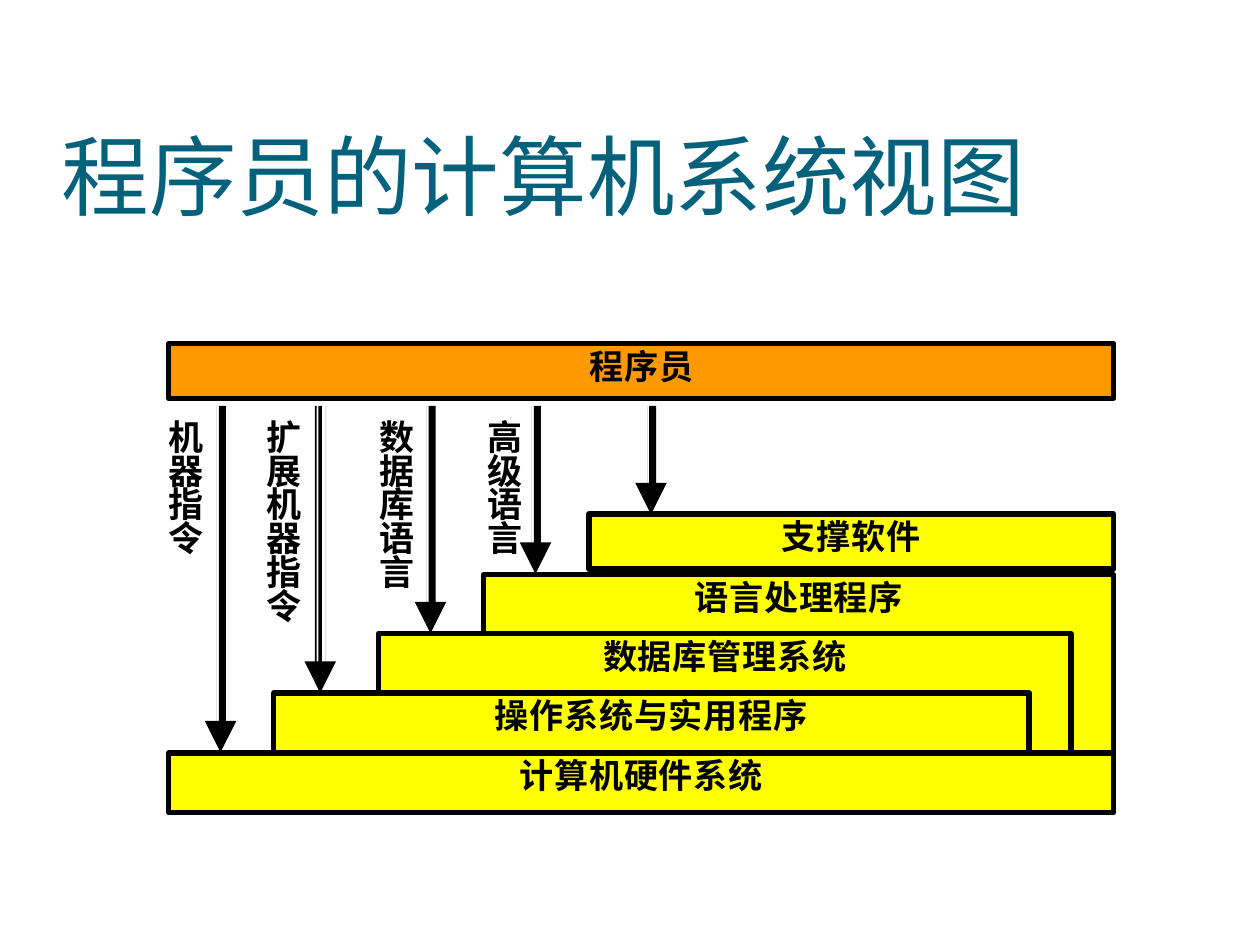
from dataclasses import dataclass

from lxml.etree import SubElement
from pptx import Presentation
from pptx.dml.color import RGBColor as Color
from pptx.enum.shapes import MSO_SHAPE as Shape
from pptx.enum.text import MSO_ANCHOR as Anchor, PP_ALIGN as Align
from pptx.oxml.ns import qn
from pptx.util import Pt


@dataclass(frozen=True)
class Theme:
    title: Color = Color(0x04, 0x61, 0x7B)
    ink: Color = Color(0, 0, 0)
    programmer: Color = Color(0xFF, 0x99, 0x00)
    layer: Color = Color(0xFF, 0xFF, 0x00)
    title_size: float = 50
    layer_size: float = 19.5
    label_size: float = 20
    label_pitch: float = 19.3
    outline: float = 3
    font: str = "Noto Sans CJK SC"
    title_font: str = "Noto Sans CJK JP"


THEME = Theme()

# Stack geometry: each layer starts one step further right
LEFT, RIGHT, STEP = 96.5, 636.5, 60
BASE = 430.3
ARROW_TOP = 232.5
LABEL_TOP = 242

# Level, text, top, right, bottom, from back to front
LAYERS = [
    (3, "语言处理程序", 328.3, RIGHT, BASE),
    (4, "支撑软件", 293.8, RIGHT, 325.2),
    (0, "计算机硬件系统", BASE, RIGHT, 464.5),
    (2, "数据库管理系统", 362.2, 612, BASE),
    (1, "操作系统与实用程序", 396, 588, BASE),
]

# Arrow centre, tip, label left, label
INTERFACES = [
    (126.4, BASE, 96.5, "机器指令"),
    (183.4, 396, 152.6, "扩展机器指令"),
    (246.4, 362.2, 216.7, "数据库语言"),
    (306.4, 328.3, 278.6, "高级语言"),
    (372.4, 293.8, None, None),
]

TITLE_RUNS = [
    ("程序", THEME.title_font), ("员", THEME.font),
    ("的", THEME.title_font), ("计", THEME.font),
    ("算机系", THEME.title_font), ("统视图", THEME.font),
]


def set_values(target, values):
    for name, value in values.items():
        setattr(target, name, value)


def add_run(paragraph, text, size, color, font=THEME.font, bold=False, spacing=0):
    run = paragraph.add_run()
    run.text = text
    set_values(run.font, {"size": Pt(size), "name": font, "bold": bold})
    run.font.color.rgb = color
    properties = run.font._element
    SubElement(properties, qn("a:ea")).set("typeface", font)
    if spacing:
        properties.set("spc", str(round(spacing * 100)))


def prepare_frame(shape, inset_top=0, wrap=True):
    frame = shape.text_frame
    set_values(frame, {
        "margin_left": 0, "margin_right": 0, "margin_bottom": 0,
        "margin_top": Pt(inset_top), "word_wrap": wrap,
        "vertical_anchor": Anchor.TOP,
    })
    return frame.paragraphs[0]


def add_title(slide):
    shape = slide.shapes.add_textbox(Pt(35.3), Pt(69.5), Pt(560), Pt(72))
    paragraph = prepare_frame(shape, wrap=False)
    for text, font in TITLE_RUNS:
        add_run(paragraph, text, THEME.title_size, THEME.title, font)


def add_layer(slide, text, left, top, right, bottom, color):
    shape = slide.shapes.add_shape(
        Shape.RECTANGLE, Pt(left), Pt(top), Pt(right - left), Pt(bottom - top))
    shape.shadow.inherit = False
    shape.fill.solid()
    shape.fill.fore_color.rgb = color
    shape.line.color.rgb = THEME.ink
    shape.line.width = Pt(THEME.outline)
    paragraph = prepare_frame(shape, inset_top=1)
    paragraph.alignment = Align.CENTER
    add_run(paragraph, text, THEME.layer_size, THEME.ink, bold=True, spacing=0.4)


def add_triple_arrow(slide, center, top, tip):
    """Draw a solid head below a shaft of three stripes."""
    neck = tip - 18
    contours = [[(center + 9, neck), (center - 9, neck), (center, tip)]]
    for start, end in [(-2.9, -2.1), (-1.1, 1.1), (2.1, 2.9)]:
        contours.append([(center + start, top), (center + end, top),
                         (center + end, neck), (center + start, neck)])
    first = contours[0][0]
    builder = slide.shapes.build_freeform(*first, scale=Pt(1))
    for contour in contours:
        if contour[0] != first:
            builder.move_to(*contour[0])
        builder.add_line_segments(contour[1:], close=True)
    shape = builder.convert_to_shape()
    shape.shadow.inherit = False
    shape.fill.solid()
    shape.fill.fore_color.rgb = THEME.ink
    shape.line.fill.background()


def add_stacked_label(slide, text, left):
    """Stack one character per line by wrapping in a narrow box."""
    height = len(text) * THEME.label_pitch
    shape = slide.shapes.add_textbox(Pt(left), Pt(LABEL_TOP), Pt(21.6), Pt(height))
    paragraph = prepare_frame(shape)
    paragraph.line_spacing = Pt(THEME.label_pitch)
    add_run(paragraph, text, THEME.label_size, THEME.ink, bold=True, spacing=-0.5)


def main():
    presentation = Presentation()
    set_values(presentation, {"slide_width": Pt(720), "slide_height": Pt(540)})
    slide = presentation.slides.add_slide(presentation.slide_layouts[6])

    add_title(slide)

    # Programmer bar above the system layers
    add_layer(slide, "程序员", LEFT, 196.3, RIGHT, 227.7, THEME.programmer)
    for level, text, top, right, bottom in LAYERS:
        add_layer(slide, text, LEFT + level * STEP, top, right, bottom, THEME.layer)

    # Interfaces from the programmer down to each layer
    for center, tip, label_left, label in INTERFACES:
        add_triple_arrow(slide, center, ARROW_TOP, tip)
        if label:
            add_stacked_label(slide, label, label_left)

    presentation.save("out.pptx")


if __name__ == "__main__":
    main()
